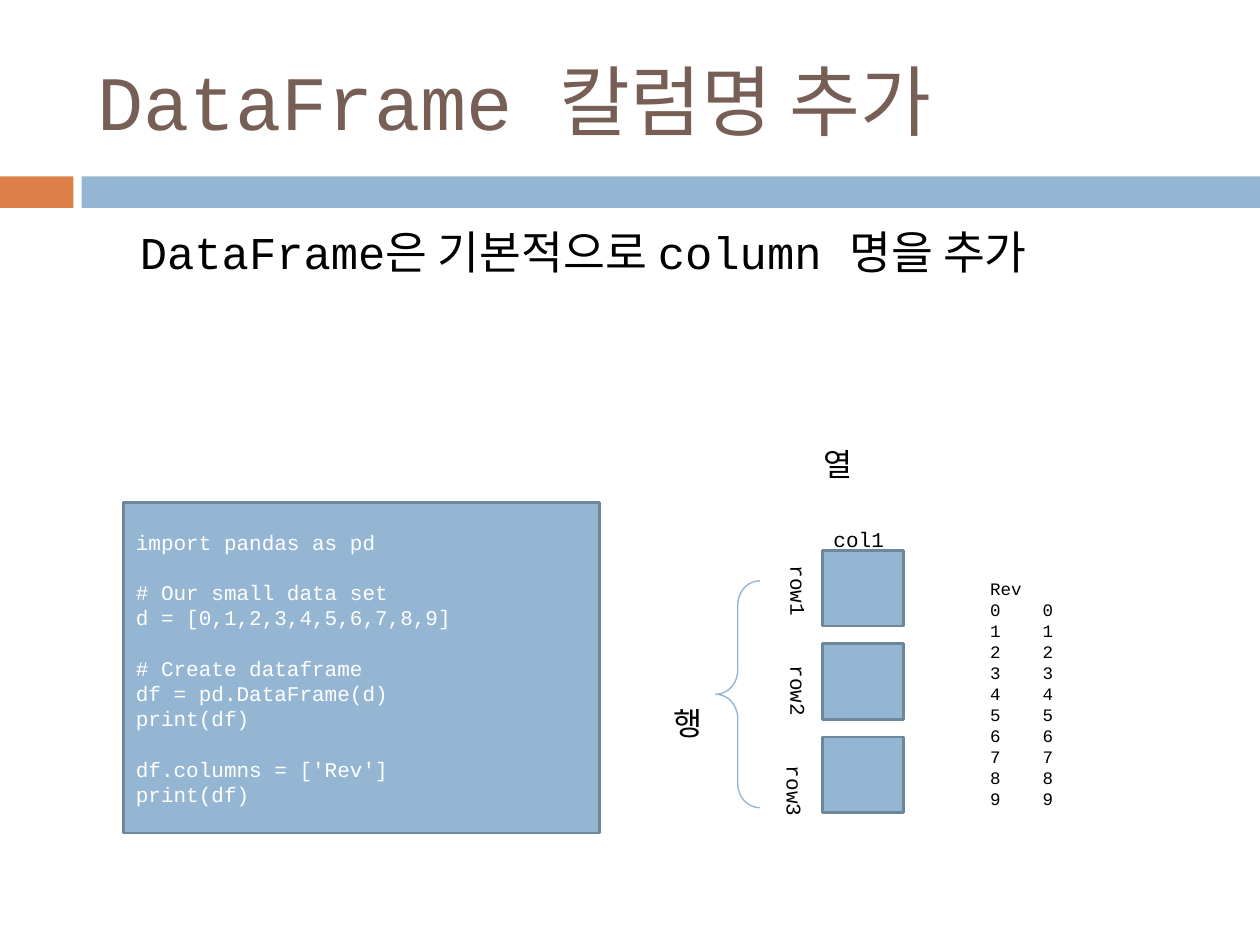
import pptx
import pptx.util
import pptx.dml.color
import pptx.enum.shapes
import pptx.enum.text
import pptx.oxml
import pptx.oxml.ns

Pt = pptx.util.Pt
SHAPE = pptx.enum.shapes.MSO_SHAPE
ANCHOR = pptx.enum.text.MSO_ANCHOR
ALIGN = pptx.enum.text.PP_ALIGN
BLUE, EDGE, ORANGE = "94B6D2", "6D879B", "DD8047"
BROWN, BLACK, WHITE = "775F55", "000000", "FFFFFF"


def paint(part, fill=None, line=None, width=1.5):
    part.shadow.inherit = False
    for color_format, color in ((part.fill, fill), (part.line.fill, line)):
        if color:
            color_format.solid()
            color_format.fore_color.rgb = pptx.dml.color.RGBColor.from_string(color)
        else:
            color_format.background()
    if line:
        part.line.width = Pt(width)


def write(part, text, size, color=BLACK, align=ALIGN.LEFT, grow=True):
    frame = part.text_frame
    frame.text = text
    frame.word_wrap = True
    if grow:
        frame.auto_size = pptx.enum.text.MSO_AUTO_SIZE.SHAPE_TO_FIT_TEXT
    for paragraph in frame.paragraphs:
        paragraph.alignment = align
        for run in paragraph.runs:
            run.font.name = "Courier New"
            run.font.size = Pt(size)
            run.font.color.rgb = pptx.dml.color.RGBColor.from_string(color)
    return frame


deck = pptx.Presentation()
deck.slide_width, deck.slide_height = Pt(720), Pt(540)
slide = deck.slides.add_slide(deck.slide_layouts[5])
shapes = slide.shapes

# Title and the two-colour band below it
title = shapes.title
title.left, title.top, title.width, title.height = Pt(48.24), Pt(18), Pt(642.24), Pt(77.76)
write(title, "DataFrame 칼럼명 추가", 44, BROWN, grow=False).vertical_anchor = ANCHOR.MIDDLE
for left, width, color in ((0, 42, ORANGE), (46.6, 673.4, BLUE)):
    band = shapes.add_shape(SHAPE.RECTANGLE, Pt(left), Pt(100.8), Pt(width), Pt(18))
    paint(band, color)

# Statement
statement = shapes.add_textbox(Pt(36.72), Pt(124.56), Pt(648), Pt(72))
statement_text = write(statement, "DataFrame은 기본적으로 column 명을 추가", 26, grow=False)
statement_text.margin_left = Pt(43.2)
statement_text.paragraphs[0].space_before = Pt(5.5)

# Code listing, with a line's gap before each later block
code_blocks = [
    ["import pandas as pd"],
    ["# Our small data set", "d = [0,1,2,3,4,5,6,7,8,9]"],
    ["# Create dataframe", "df = pd.DataFrame(d)", "print(df)"],
    ["df.columns = ['Rev']", "print(df)"],
]
code = shapes.add_shape(SHAPE.RECTANGLE, Pt(70.56), Pt(287.28), Pt(272.16), Pt(188.64))
paint(code, BLUE, EDGE)
code_text = write(code, "\n".join("\n".join(block) for block in code_blocks), 12, WHITE, grow=False)
code_text.vertical_anchor = ANCHOR.MIDDLE
for paragraph in code_text.paragraphs:
    paragraph.line_spacing = Pt(14.4)
first_line = 0
for block in code_blocks[:-1]:
    first_line += len(block)
    code_text.paragraphs[first_line].space_before = Pt(14.4)

# Column of cells with row labels
for row, label_left in enumerate((441.36, 441.36, 439.2)):
    cell = shapes.add_shape(SHAPE.RECTANGLE, Pt(470.16), Pt(314.64 + 53.28 * row), Pt(46.08), Pt(43.2))
    paint(cell, BLUE, EDGE)
    row_label = shapes.add_textbox(Pt(label_left), Pt(316.08 + 57.24 * row), Pt(25.92), Pt(30.96))
    row_text = write(row_label, f"row{row + 1}", 12)
    row_text.word_wrap = False
    row_text._txBody.bodyPr.set("vert", "eaVert")

# Axis words and column label
for text, left, top, width, height, size, align in (
    ("행", 378, 398.88, 41.04, 24.48, 18, ALIGN.LEFT),
    ("열", 463.68, 250.56, 41.04, 28.8, 18, ALIGN.LEFT),
    ("col1", 465.12, 297.36, 51.12, 18.72, 12, ALIGN.CENTER),
):
    label = shapes.add_textbox(Pt(left), Pt(top), Pt(width), Pt(height))
    write(label, text, size, align=align)

# Brace spanning the rows
brace = shapes.add_shape(SHAPE.RIGHT_BRACE, Pt(408.96), Pt(331.92), Pt(25.2), Pt(129.6))
brace.rotation = 180
brace.adjustments[0], brace.adjustments[1] = 0.55, 0.5
paint(brace, line=BLUE, width=0.79)

# Printed result: index and value separated by a tab stop
result = shapes.add_textbox(Pt(558.72), Pt(314.64), Pt(51.12), Pt(140.4))
result_text = write(result, "\n".join(["Rev"] + [f"{n}\t{n}" for n in range(10)]), 10)
result_text.margin_top = Pt(15.6)
for paragraph in result_text.paragraphs:
    paragraph.line_spacing = Pt(12)
    tab_list = pptx.oxml.parse_xml(
        f'<a:tabLst {pptx.oxml.ns.nsdecls("a")}><a:tab pos="{Pt(30)}" algn="l"/></a:tabLst>')
    paragraph._p.get_or_add_pPr().append(tab_list)

deck.save("out.pptx")
